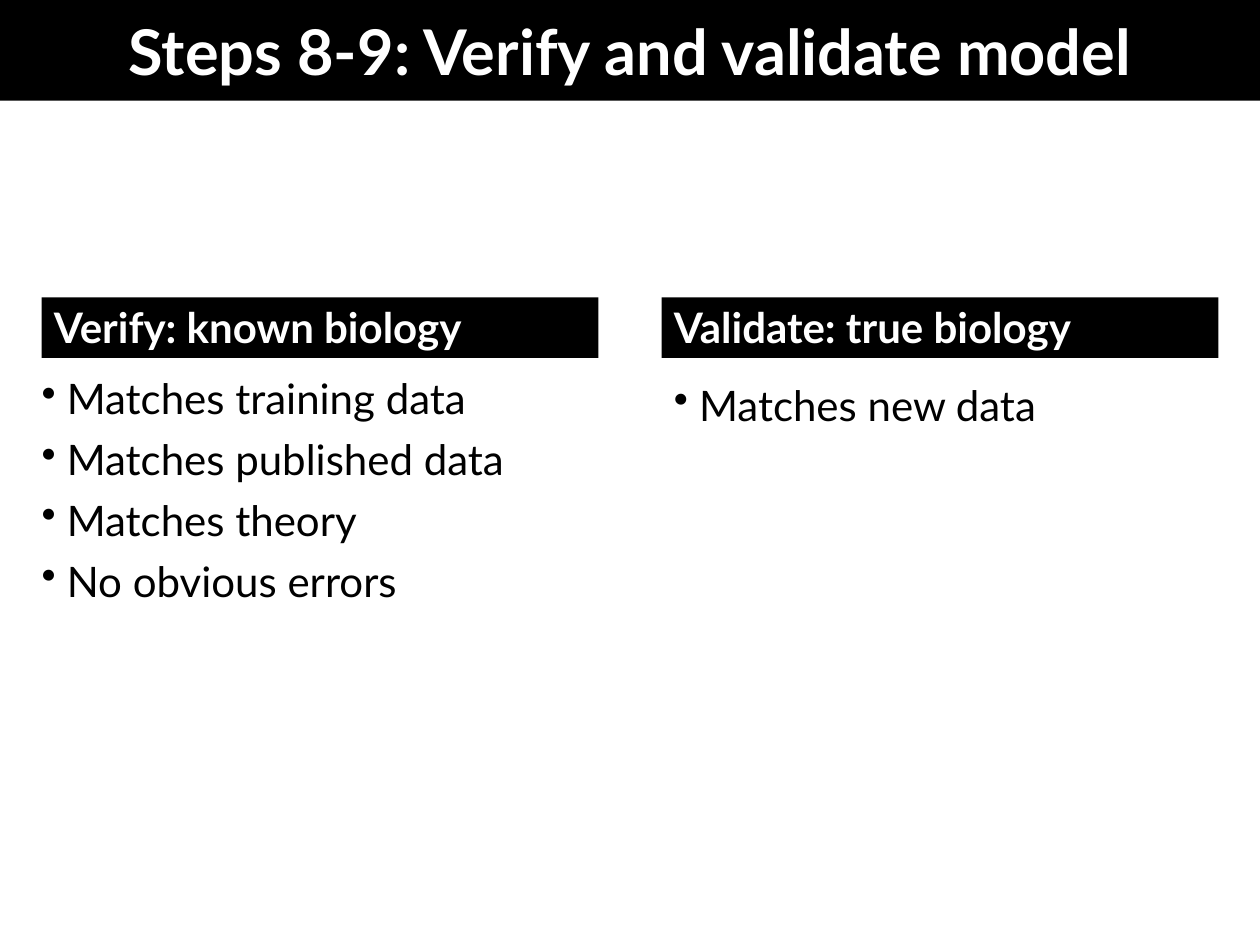
from dataclasses import dataclass

from lxml import etree
from pptx import Presentation
from pptx import util as u
from pptx.dml.color import RGBColor
from pptx.enum import shapes, text
from pptx.oxml import ns


@dataclass(frozen=True)
class Theme:
    font: str = "Lato"
    dark: RGBColor = RGBColor(0, 0, 0)
    light: RGBColor = RGBColor(255, 255, 255)
    title_size: int = 36
    body_size: int = 24
    bullet_gap: int = 6
    bullet_indent: float = 0.2
    padding: tuple = (0.1, 0.05)


class SlideBuilder:
    columns, rows = 100, 75

    def __init__(self, presentation, theme):
        self.theme = theme
        self.width = presentation.slide_width
        self.height = presentation.slide_height
        self.slide = presentation.slides.add_slide(presentation.slide_layouts[6])

    def place(self, column, row, column_span, row_span):
        return (
            round(column * self.width / self.columns),
            round(row * self.height / self.rows),
            round(column_span * self.width / self.columns),
            round(row_span * self.height / self.rows),
        )

    def apply(self, target, values):
        for name, value in values.items():
            setattr(target, name, value)

    def frame(self, shape, anchor, padding):
        side, end = map(u.Inches, padding)
        self.apply(shape.text_frame, {
            "word_wrap": True, "vertical_anchor": anchor,
            "margin_left": side, "margin_right": side,
            "margin_top": end, "margin_bottom": end,
        })
        return shape.text_frame

    def style_text(self, paragraph, words, size, color, bold=False):
        paragraph.text = words
        self.apply(paragraph.font, {
            "name": self.theme.font, "size": u.Pt(size), "bold": bold,
        })
        paragraph.font.color.rgb = color

    def bar(self, area, words, size, anchor, alignment, padding):
        shape = self.slide.shapes.add_shape(
            shapes.MSO_SHAPE.RECTANGLE, *self.place(*area))
        shape.shadow.inherit = False
        shape.fill.solid()
        shape.fill.fore_color.rgb = self.theme.dark
        shape.line.fill.background()
        paragraph = self.frame(shape, anchor, padding).paragraphs[0]
        paragraph.alignment = alignment
        self.style_text(paragraph, words, size, self.theme.light, bold=True)

    def title(self, area, words):
        self.bar(area, words, self.theme.title_size,
                 text.MSO_ANCHOR.MIDDLE, text.PP_ALIGN.CENTER, (0, 0))

    def heading(self, area, words):
        self.bar(area, words, self.theme.body_size,
                 text.MSO_ANCHOR.BOTTOM, text.PP_ALIGN.LEFT, self.theme.padding)

    def bullets(self, area, items, padding):
        shape = self.slide.shapes.add_textbox(*self.place(*area))
        frame = self.frame(shape, text.MSO_ANCHOR.TOP, padding)
        indent = u.Inches(self.theme.bullet_indent)
        for index, item in enumerate(items):
            paragraph = frame.add_paragraph() if index else frame.paragraphs[0]
            if index:
                paragraph.space_before = u.Pt(self.theme.bullet_gap)
            properties = paragraph._p.get_or_add_pPr()
            properties.set("marL", str(indent))
            properties.set("indent", str(-indent))
            etree.SubElement(properties, ns.qn("a:buChar"), char="•")
            self.style_text(paragraph, item, self.theme.body_size, self.theme.dark)


def main():
    presentation = Presentation()
    presentation.slide_width = u.Inches(10)
    presentation.slide_height = u.Inches(7.5)
    theme = Theme()
    builder = SlideBuilder(presentation, theme)
    builder.title((0, 0, builder.columns, 8), "Steps 8-9: Verify and validate model")

    margin, span = 3.3, 44.2
    panels = (
        (margin, "Verify: known biology", (0, 0),
         ("Matches training data", "Matches published data",
          "Matches theory", "No obvious errors")),
        (builder.columns - margin - span, "Validate: true biology", theme.padding,
         ("Matches new data",)),
    )
    for column, heading, padding, items in panels:
        builder.heading((column, 23.6, span, 4.8), heading)
        builder.bullets((column, 29.6, span, 19.5), items, padding)
    presentation.save("out.pptx")


if __name__ == "__main__":
    main()
